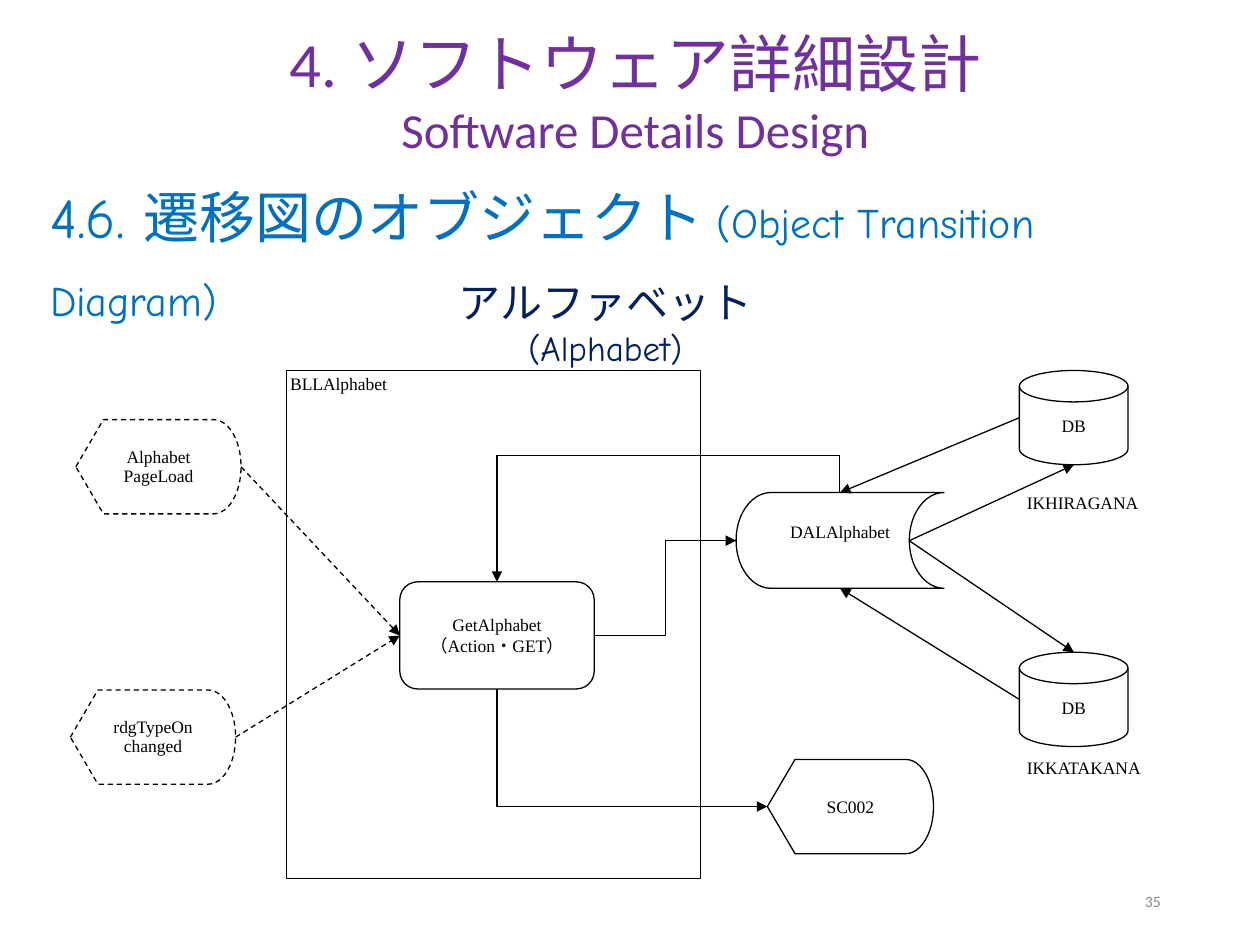
import pptx
import pptx.util
from pptx.dml.color import RGBColor
from pptx.enum.dml import MSO_LINE
from pptx.enum.shapes import MSO_CONNECTOR, MSO_SHAPE
from pptx.enum.text import MSO_ANCHOR, MSO_AUTO_SIZE, PP_ALIGN
from lxml import etree

Cm, Pt = pptx.util.Cm, pptx.util.Pt
A = "{http://schemas.openxmlformats.org/drawingml/2006/main}"
COLORS = {"title": "7030A0", "heading": "0070C0", "caption": "002060",
          "number": "8C8C8C", "ink": "000000", "paper": "FFFFFF"}
RGB = {name: RGBColor.from_string(value) for name, value in COLORS.items()}


def box(kind, left, top, width, height, text, spacing=None, dash=False,
        border=True, center=True, bottom=0.05):
    sp = s.shapes.add_shape(kind, Cm(left), Cm(top), Cm(width), Cm(height))
    sp.shadow.inherit = False
    sp.fill.solid()
    sp.fill.fore_color.rgb = RGB["paper"]
    if border:
        sp.line.color.rgb = RGB["ink"]
        sp.line.width = Pt(0.75)
        if dash:
            sp.line.dash_style = MSO_LINE.DASH
    else:
        sp.line.fill.background()
    tf = sp.text_frame
    tf.word_wrap = border
    tf.margin_left = tf.margin_right = Cm(0.08)
    tf.margin_top, tf.margin_bottom = Cm(0.05), Cm(bottom)
    tf.vertical_anchor = MSO_ANCHOR.MIDDLE if center else MSO_ANCHOR.TOP
    tf.text = text
    for p in tf.paragraphs:
        p.alignment = PP_ALIGN.CENTER if center else PP_ALIGN.LEFT
        for r in p.runs:
            r.font.name, r.font.size = "Times New Roman", Pt(10)
            r.font.color.rgb = RGB["ink"]
    if spacing:
        tf.paragraphs[0].line_spacing = Pt(spacing)
    return sp


def arrow(start, end, bend=None, upright=False, adjust=None, dash=False,
          begin=None, finish=None):
    """Draw an arrow; upright means that an elbow leaves its start vertically."""
    (x1, y1), (x2, y2) = start, end
    if upright:
        # The frame is stored a quarter turn away from how it is shown.
        cx, cy = (x1 + x2) / 2, (y1 + y2) / 2
        x1, y1, x2, y2 = (cx - (y1 - cy), cy + (x1 - cx),
                          cx - (y2 - cy), cy + (x2 - cx))
    kind = MSO_CONNECTOR.ELBOW if bend else MSO_CONNECTOR.STRAIGHT
    con = s.shapes.add_connector(kind, Cm(x1), Cm(y1), Cm(x2), Cm(y2))
    if begin:
        con.begin_connect(*begin)
    if finish:
        con.end_connect(*finish)
    con.line.color.rgb = RGB["ink"]
    con.line.width = Pt(0.75)
    if dash:
        con.line.dash_style = MSO_LINE.DASH
    spPr = con._element.spPr
    geom = spPr.find(A + "prstGeom")
    if bend:
        geom.set("prst", bend)
    if upright:
        spPr.find(A + "xfrm").set("rot", "16200000")
    if adjust is not None:
        etree.SubElement(geom.find(A + "avLst"), A + "gd",
                         name="adj1", fmla=f"val {adjust}")
    etree.SubElement(spPr.find(A + "ln"), A + "tailEnd", type="triangle")
    etree.SubElement(spPr, A + "effectLst")


prs = pptx.Presentation()
prs.slide_width, prs.slide_height = Cm(25.4), Cm(19.05)
s = prs.slides.add_slide(prs.slide_layouts[5])

# Title
title = s.shapes.title
title.left, title.top, title.width, title.height = Cm(3.56), Cm(0.36), Cm(18.49), Cm(3)
tf = title.text_frame
tf.text = "4. ソフトウェア詳細設計\nSoftware Details Design"
tf.vertical_anchor = MSO_ANCHOR.TOP
tf.auto_size = MSO_AUTO_SIZE.NONE
for p, size in zip(tf.paragraphs, (36, 28)):
    p.alignment = PP_ALIGN.CENTER
    p.runs[0].font.name, p.runs[0].font.size = "Calibri", Pt(size)
    p.runs[0].font.color.rgb = RGB["title"]

# Heading, caption and slide number
texts = [
    (0.76, 2.87, 22.99, 2.08, PP_ALIGN.LEFT, 1.5, "Comic Neue", "heading",
     [("4.6. 遷移図のオブジェクト ", 32), ("(Object Transition Diagram)", 24)]),
    (8, 5.44, 8.41, 1.27, PP_ALIGN.CENTER, 1, "Comic Neue", "caption",
     [("アルファベット ", 24), ("(Alphabet)", 20)]),
    (17.93, 17.65, 5.72, 1.02, PP_ALIGN.RIGHT, 1, "Calibri", "number", [("35", 9)]),
]
for left, top, width, height, align, spacing, font, color, runs in texts:
    tf = s.shapes.add_textbox(Cm(left), Cm(top), Cm(width), Cm(height)).text_frame
    tf.word_wrap = True
    if color == "number":
        tf.vertical_anchor = MSO_ANCHOR.MIDDLE
    p = tf.paragraphs[0]
    p.alignment, p.line_spacing = align, spacing
    for text, size in runs:
        r = p.add_run()
        r.text = text
        r.font.name, r.font.size = font, Pt(size)
        r.font.color.rgb = RGB[color]

# Diagram boxes
box(MSO_SHAPE.RECTANGLE, 5.77, 7.47, 8.36, 10.24, "BLLAlphabet", center=False)
action = box(MSO_SHAPE.ROUNDED_RECTANGLE, 8.06, 11.73, 3.92, 2.16,
             "GetAlphabet\n（Action・GET）", spacing=12)
page_load = box(MSO_SHAPE.FLOWCHART_DISPLAY, 1.53, 8.46, 3.33, 1.9,
                "Alphabet PageLoad", spacing=11, dash=True)
changed = box(MSO_SHAPE.FLOWCHART_DISPLAY, 1.42, 13.91, 3.33, 1.9,
              "rdgTypeOn changed", spacing=11, dash=True)
box(MSO_SHAPE.FLOWCHART_DISPLAY, 15.47, 15.31, 3.35, 1.9, "SC002")
storage = box(MSO_SHAPE.FLOWCHART_STORED_DATA, 14.84, 9.93, 4.19, 1.93,
              "DALAlphabet", spacing=12, bottom=0.4)
storage._element.spPr.find(A + "prstGeom").set("prst", "flowChartOnlineStorage")
for disk_top, label_top, name in ((7.47, 9.86, "IKHIRAGANA"), (13.15, 15.21, "IKKATAKANA")):
    box(MSO_SHAPE.FLOWCHART_MAGNETIC_DISK, 20.55, disk_top, 2.19, 1.9, "DB")
    box(MSO_SHAPE.RECTANGLE, 20.62, label_top, 2.4, 0.48, name, border=False, center=False)

# Arrows
for source, start in ((page_load, (4.86, 9.41)), (changed, (4.75, 14.86))):
    arrow(start, (8.06, 12.81), dash=True, begin=(source, 3), finish=(action, 1))
arrow((11.98, 12.81), (14.84, 10.9), bend="bentConnector3")
arrow((10.02, 13.89), (15.47, 16.26), bend="bentConnector2", upright=True)
arrow((16.93, 9.93), (10.02, 11.73), bend="bentConnector3", upright=True, adjust=-41400)
arrow((20.55, 8.42), (16.93, 9.93), finish=(storage, 0))
arrow((20.55, 14.1), (16.93, 11.86), finish=(storage, 2))
for disk_end in ((21.65, 9.37), (21.65, 13.15)):
    arrow((18.33, 10.9), disk_end)

prs.save("out.pptx")
